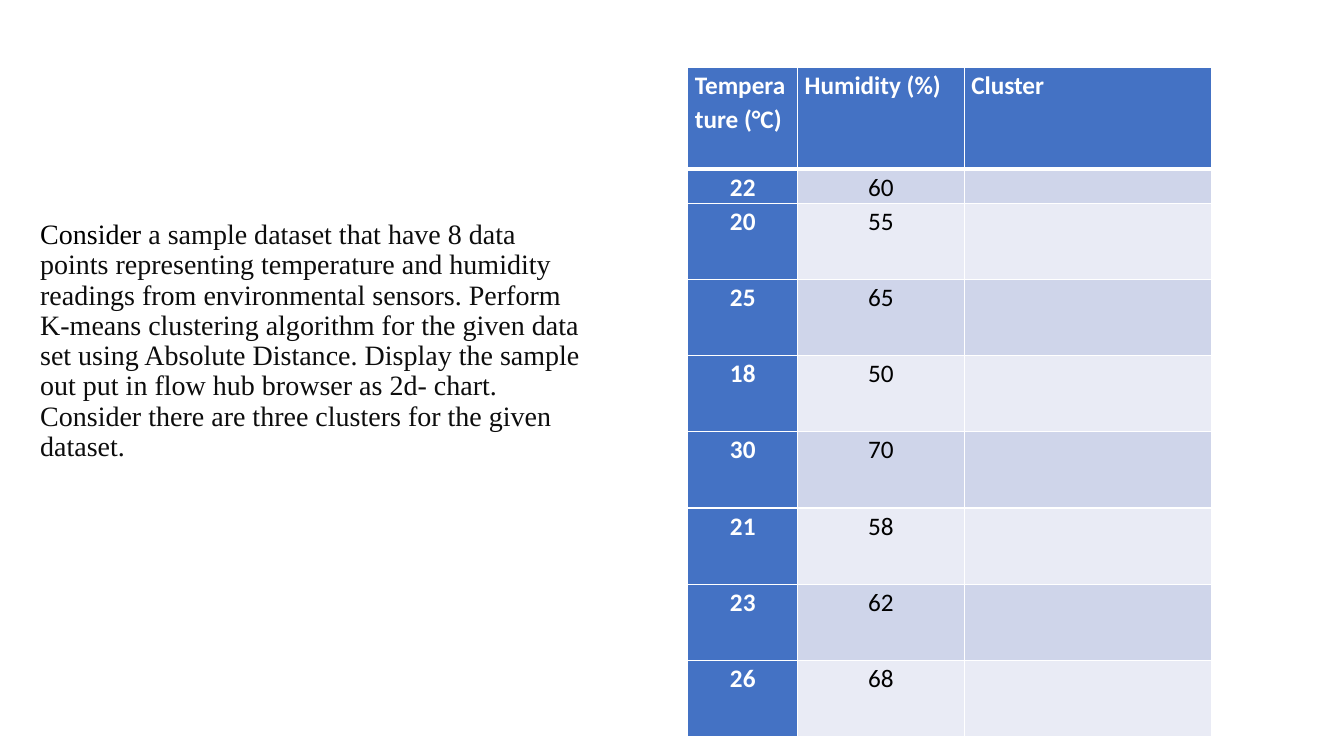
from dataclasses import dataclass
from typing import NamedTuple

from lxml.etree import SubElement
from pptx import Presentation
from pptx.dml.color import RGBColor
from pptx.enum.text import MSO_ANCHOR, PP_ALIGN
from pptx.oxml.ns import qn
from pptx.util import Pt


@dataclass(frozen=True)
class Theme:
    accent: str = "4472C4"
    dark_band: str = "CFD5EA"
    light_band: str = "E9EBF5"
    white: str = "FFFFFF"
    black: str = "000000"
    soft_black: str = "0D0D0D"
    task_font: str = "Times New Roman"
    table_font: str = "Calibri"
    task_size: float = 20
    table_size: float = 18
    thin_rule: float = 1
    header_rule: float = 3


class Span(NamedTuple):
    text: str
    color: str


class Reading(NamedTuple):
    temperature: str
    humidity: str
    cluster: str = ""


THEME = Theme()
TASK = [
    Span("Consider ", THEME.black),
    Span(
        "a sample dataset that have 8 data points representing temperature and "
        "humidity readings from environmental sensors. Perform K-means clustering "
        "algorithm for the given data set using Absolute Distance. Display the "
        "sample out put in flow hub browser as 2d- chart. Consider there are three "
        "clusters for the given dataset.",
        THEME.soft_black,
    ),
]
HEADER = Reading("Temperature (°C)", "Humidity (%)", "Cluster")
READINGS = [
    Reading("22", "60"),
    Reading("20", "55"),
    Reading("25", "65"),
    Reading("18", "50"),
    Reading("30", "70"),
    Reading("21", "58"),
    Reading("23", "62"),
    Reading("26", "68"),
]
COLUMN_WIDTHS = [78.5, 119, 177]
HEADER_HEIGHT, FIRST_HEIGHT, READING_HEIGHT = 72.5, 24.4, 54.4


def add_text(paragraph, text: str, *, font: str, size: float, color: str,
             bold: bool = False) -> None:
    span = paragraph.add_run()
    span.text = text
    span.font.name = font
    span.font.size = Pt(size)
    span.font.bold = bold
    span.font.color.rgb = RGBColor.from_string(color)


def add_task(page) -> None:
    box = page.shapes.add_textbox(Pt(21.6), Pt(41.6), Pt(404), Pt(404.6))
    frame = box.text_frame
    frame.word_wrap = True
    frame.vertical_anchor = MSO_ANCHOR.MIDDLE
    paragraph = frame.paragraphs[0]
    paragraph.line_spacing = 0.9
    for span in TASK:
        add_text(paragraph, span.text, font=THEME.task_font,
                 size=THEME.task_size, color=span.color)


def add_borders(cell, top: float, bottom: float) -> None:
    """Rule all four sides in white; call before filling, as the schema orders it."""
    widths = {"a:lnL": THEME.thin_rule, "a:lnR": THEME.thin_rule,
              "a:lnT": top, "a:lnB": bottom}
    properties = cell._tc.get_or_add_tcPr()
    for tag, width in widths.items():
        line = SubElement(properties, qn(tag), w=str(Pt(width)))
        fill = SubElement(line, qn("a:solidFill"))
        SubElement(fill, qn("a:srgbClr"), val=THEME.white)


def format_cell(cell, text: str, row: int, column: int) -> None:
    is_header = row == 0
    is_accent = is_header or column == 0
    cell.margin_left = cell.margin_right = Pt(5)
    cell.margin_top = cell.margin_bottom = Pt(0)
    add_borders(
        cell,
        top=THEME.header_rule if row == 1 else THEME.thin_rule,
        bottom=THEME.header_rule if is_header else THEME.thin_rule,
    )
    band = THEME.dark_band if row % 2 else THEME.light_band
    cell.fill.solid()
    cell.fill.fore_color.rgb = RGBColor.from_string(THEME.accent if is_accent else band)
    if text:
        paragraph = cell.text_frame.paragraphs[0]
        paragraph.alignment = PP_ALIGN.LEFT if is_header else PP_ALIGN.CENTER
        paragraph.line_spacing = 1.1
        paragraph.space_after = Pt(6)
        add_text(paragraph, text, font=THEME.table_font, size=THEME.table_size,
                 color=THEME.white if is_accent else THEME.black, bold=is_accent)


def add_readings(page) -> None:
    rows = [HEADER, *READINGS]
    heights = [HEADER_HEIGHT, FIRST_HEIGHT] + [READING_HEIGHT] * (len(READINGS) - 1)
    table = page.shapes.add_table(
        len(rows), len(COLUMN_WIDTHS), Pt(491.3), Pt(48.4),
        Pt(sum(COLUMN_WIDTHS)), Pt(sum(heights)),
    ).table
    for column, width in zip(table.columns, COLUMN_WIDTHS):
        column.width = Pt(width)
    for row, height in zip(table.rows, heights):
        row.height = Pt(height)
    for row, reading in enumerate(rows):
        for column, text in enumerate(reading):
            format_cell(table.cell(row, column), text, row, column)


def main() -> None:
    deck = Presentation()
    deck.slide_width, deck.slide_height = Pt(960), Pt(540)
    page = deck.slides.add_slide(deck.slide_layouts[6])
    add_task(page)
    add_readings(page)
    deck.save("out.pptx")


if __name__ == "__main__":
    main()
